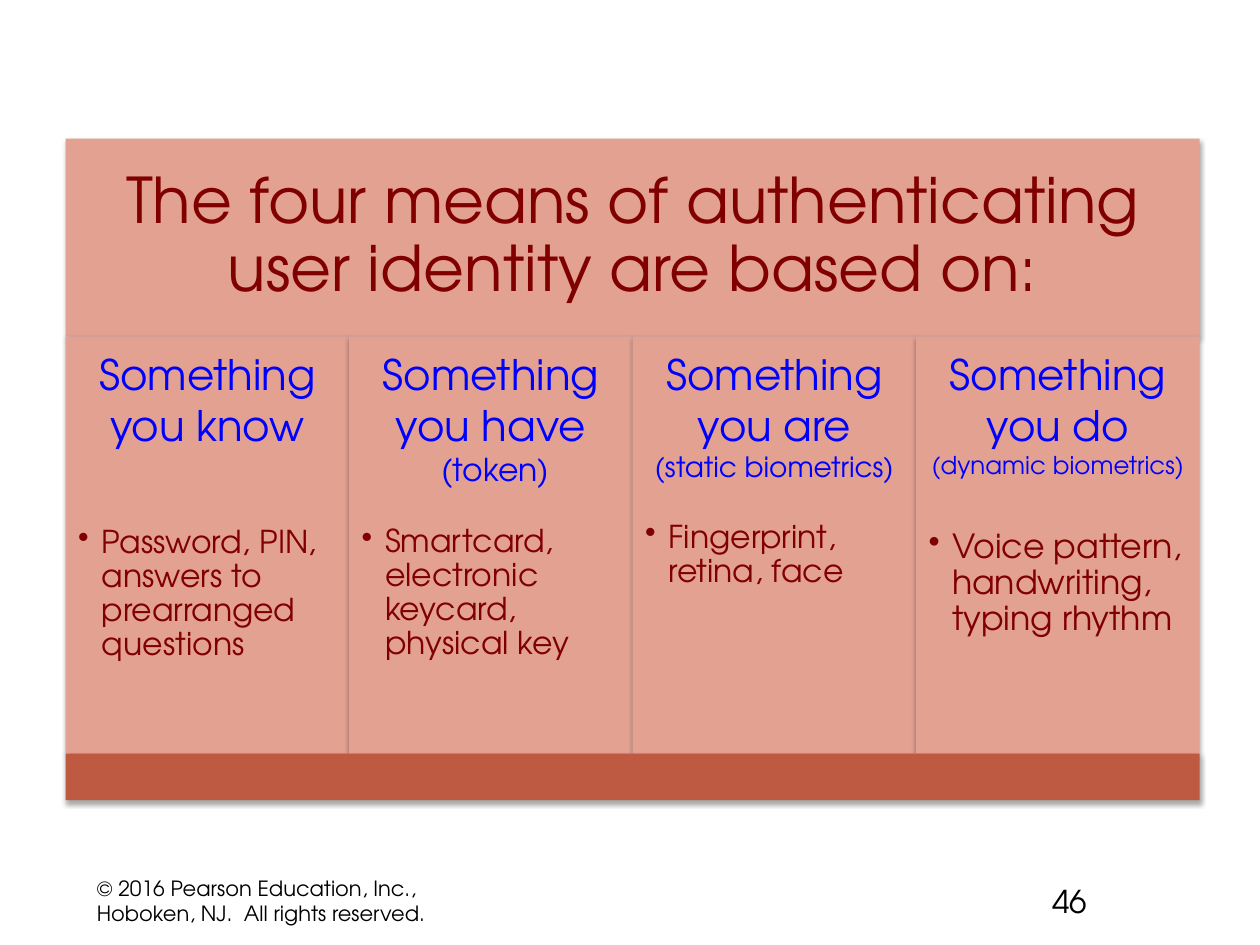
from lxml import etree
from pptx import Presentation
from pptx.dml.color import RGBColor
from pptx.enum.shapes import MSO_SHAPE
from pptx.enum.text import MSO_ANCHOR, MSO_AUTO_SIZE, PP_ALIGN
from pptx.oxml import parse_xml
from pptx.oxml.ns import nsdecls, qn
from pptx.util import Pt

RECT = MSO_SHAPE.RECTANGLE
TOP, MIDDLE = MSO_ANCHOR.TOP, MSO_ANCHOR.MIDDLE
LEFT, CENTER = PP_ALIGN.LEFT, PP_ALIGN.CENTER
NO_FIT = MSO_AUTO_SIZE.NONE

FONT = "TeX Gyre Adventor"
COLORS = {"panel": "E3A192", "base": "BE5A42", "body": "800000",
          "head": "0000FF", "footer": "000000"}
SHADOW = (f'<a:outerShdw {nsdecls("a")} blurRad="40000" dist="23000" dir="5400000" '
          'rotWithShape="0"><a:srgbClr val="000000"><a:alpha val="35000"/>'
          '</a:srgbClr></a:outerShdw>')

X, WIDTH = 37.5, 648
TITLE_Y, COLUMN_Y, BASE_Y, BOTTOM = 79.2, 192.2, 430.6, 457.2

COLUMNS = [
    ("you know", None, 0, "Password, PIN, answers to prearranged questions", 18, 43.6),
    ("you have", " (token)", 18, "Smartcard, electronic keycard, physical key", 18, 21.8),
    ("you are", "(static biometrics)", 16, "Fingerprint, retina, face", 18, 21.8),
    ("you do", "(dynamic biometrics)", 14,
     "Voice pattern, handwriting, typing rhythm", 19, 29),
]


class Deck:
    def __init__(self, prs):
        self.s = prs.slides.add_slide(prs.slide_layouts[5])

    def panel(self, sp, color):
        sp.fill.solid()
        sp.fill.fore_color.rgb = RGBColor.from_string(COLORS[color])
        sp.line.fill.background()
        sp.shadow.inherit = False
        sp._element.spPr.find(qn("a:effectLst")).append(parse_xml(SHADOW))

    def frame(self, sp, anchor, insets):
        tf = sp.text_frame
        tf.word_wrap = True
        tf.auto_size = NO_FIT
        tf.vertical_anchor = anchor
        tf.margin_left, tf.margin_top, tf.margin_right, tf.margin_bottom = map(Pt, insets)
        return tf

    def add_text(self, p, text, size, color, align=LEFT):
        p.alignment = align
        r = p.add_run()
        r.text = text
        r.font.name = FONT
        r.font.size = Pt(size)
        r.font.color.rgb = RGBColor.from_string(COLORS[color])

    def title(self, text, x, y, w, h):
        sp = self.s.shapes.title
        sp.left, sp.top, sp.width, sp.height = map(Pt, (x, y, w, h))
        self.panel(sp, "panel")
        p = self.frame(sp, MIDDLE, [10.8] * 4).paragraphs[0]
        p.line_spacing = 0.9
        self.add_text(p, text, 36, "body", CENTER)

    def rect(self, x, y, w, h, color):
        sp = self.s.shapes.add_shape(RECT, *map(Pt, (x, y, w, h)))
        self.panel(sp, color)
        return sp

    def column(self, x, y, w, h, content):
        head, note, note_size, detail, detail_size, gap = content
        tf = self.frame(self.rect(x, y, w, h, "panel"), TOP, [7.2] * 4)
        self.add_text(tf.paragraphs[0], "Something", 24, "head", CENTER)
        self.add_text(tf.add_paragraph(), head, 24, "head", CENTER)
        if note:
            self.add_text(tf.add_paragraph(), note, note_size, "head", CENTER)
        self.bullet(tf.add_paragraph(), detail, detail_size, gap)

    def bullet(self, p, text, size, gap):
        pPr = p._p.get_or_add_pPr()
        pPr.set("lvl", "1")
        pPr.set("marL", str(Pt(13.5)))
        pPr.set("indent", str(-Pt(13.5)))
        etree.SubElement(pPr, qn("a:buChar")).set("char", "•")
        p.line_spacing = 0.9
        p.space_before = Pt(gap)
        self.add_text(p, text, size, "body")

    def footer(self, text, x, w, size, inset_left, inset_right):
        sp = self.s.shapes.add_textbox(*map(Pt, (x, 500.4, w, 28.8)))
        tf = self.frame(sp, MIDDLE, (inset_left, 3.6, inset_right, 3.6))
        self.add_text(tf.paragraphs[0], text, size, "footer")


def main():
    prs = Presentation()
    prs.slide_width, prs.slide_height = Pt(720), Pt(540)
    deck = Deck(prs)
    deck.title("The four means of authenticating user identity are based on:",
               X, TITLE_Y, WIDTH, COLUMN_Y - TITLE_Y)
    w = WIDTH / len(COLUMNS)
    for i, content in enumerate(COLUMNS):
        deck.column(X + i * w, COLUMN_Y, w, BASE_Y - COLUMN_Y, content)
    deck.rect(X, BASE_Y, WIDTH, BOTTOM - BASE_Y, "base")
    deck.footer("© 2016 Pearson Education, Inc., Hoboken, NJ.  All rights reserved.",
                51.8, 224, 12, 3.6, 7.2)
    deck.footer("46", 599, 85, 18, 2.2, 3.6)
    prs.save("out.pptx")


if __name__ == "__main__":
    main()
